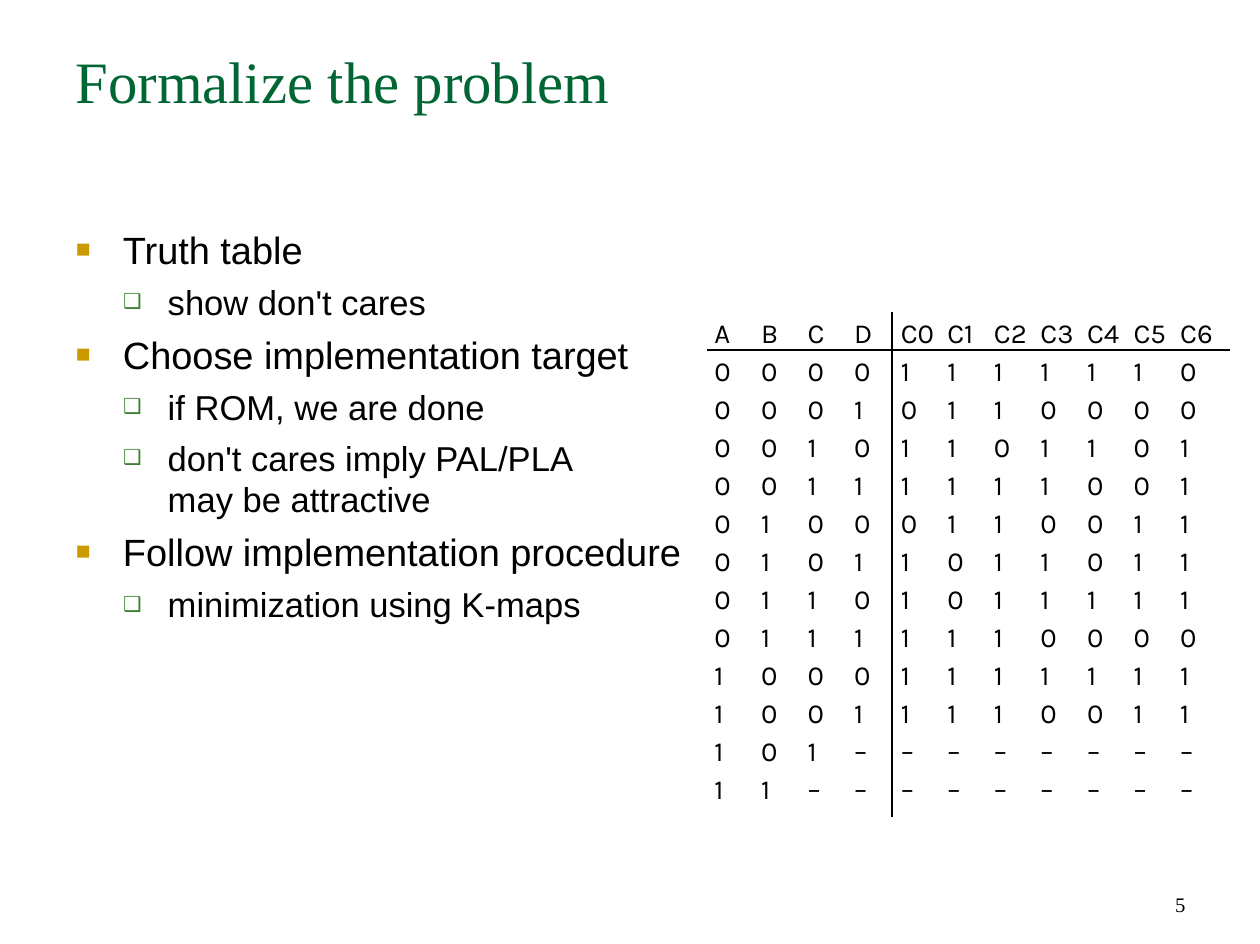
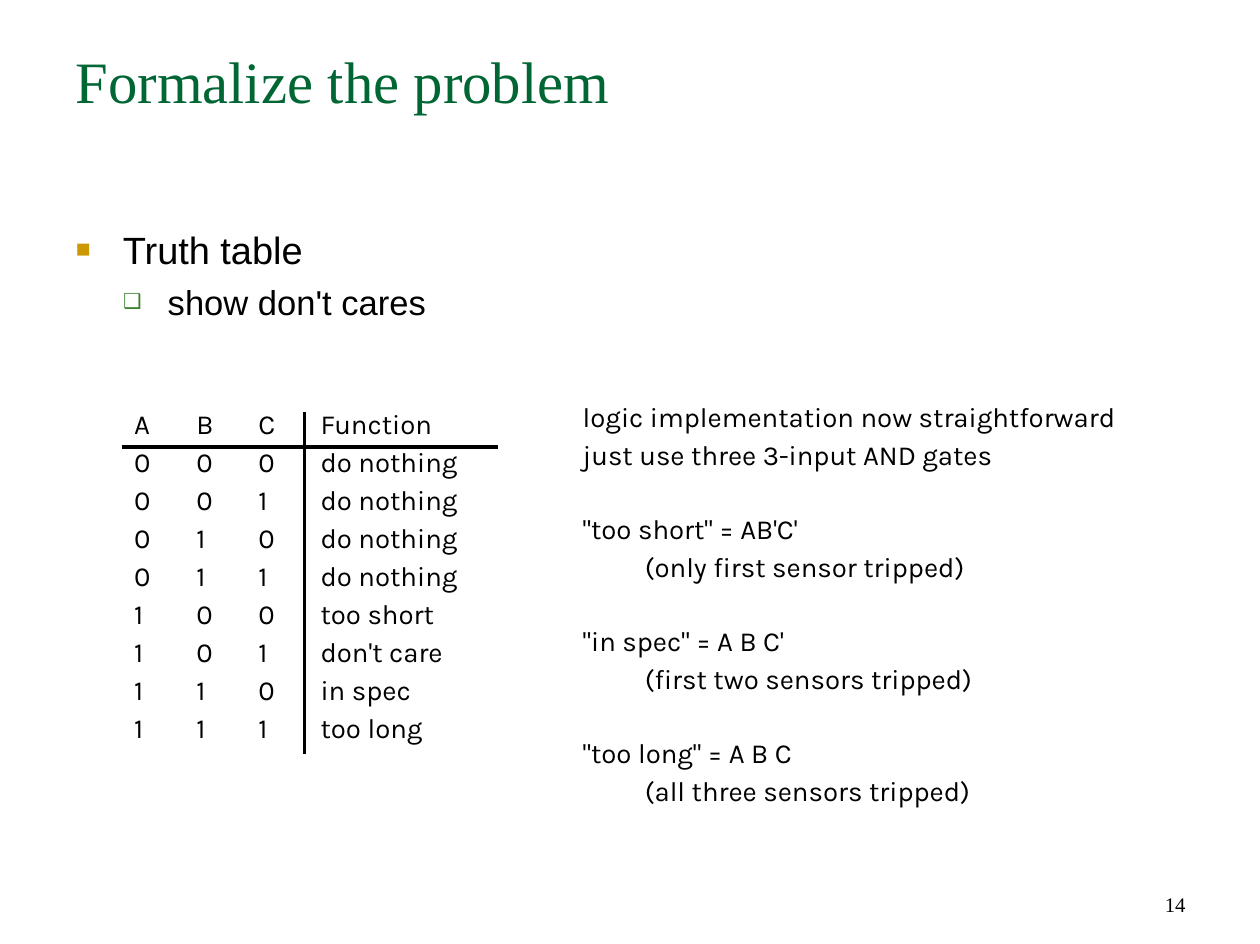
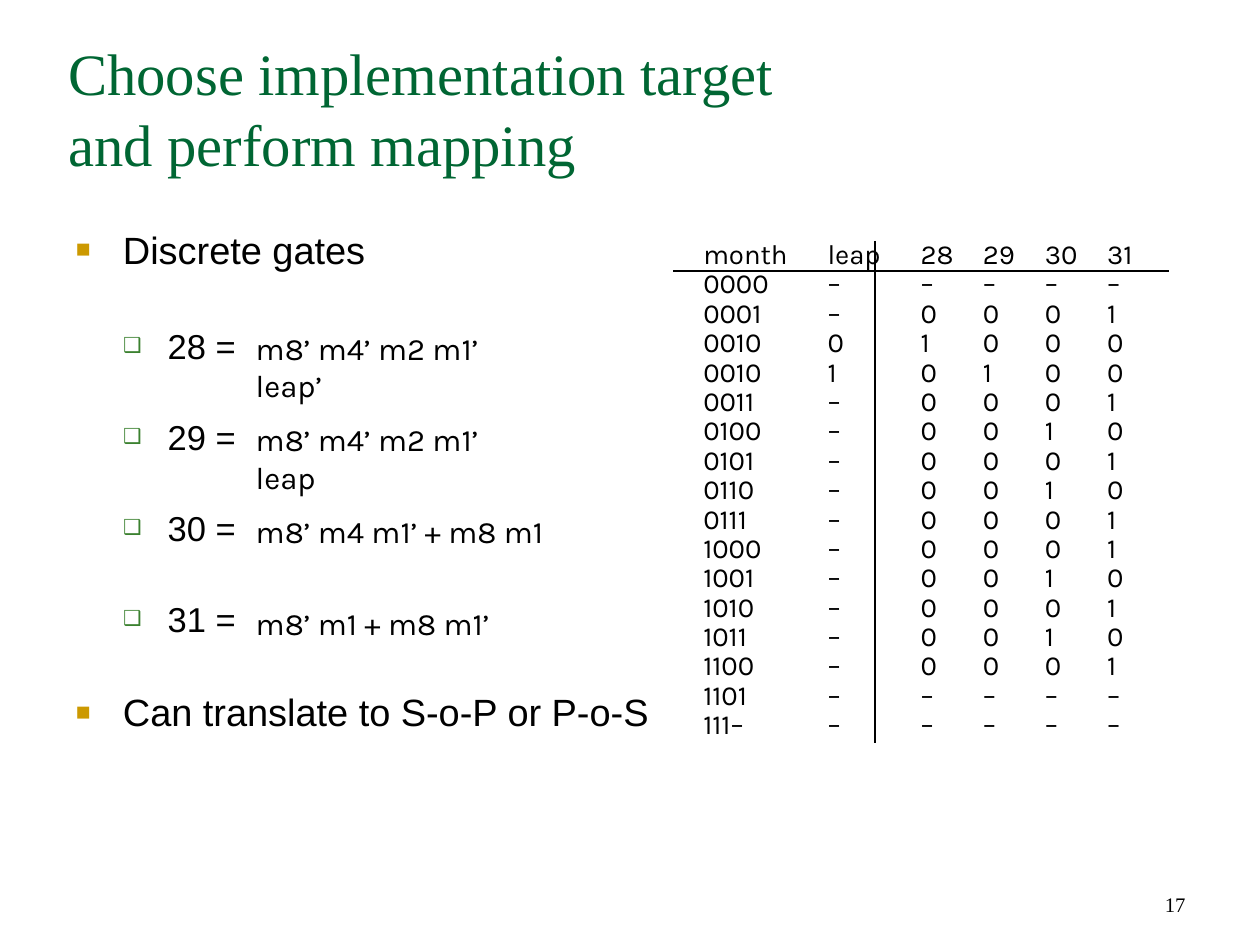
from dataclasses import dataclass

from lxml import etree
from pptx import Presentation
from pptx.dml.color import RGBColor as Rgb
from pptx.enum.shapes import MSO_CONNECTOR as Connector
from pptx.enum.text import MSO_ANCHOR as Anchor, MSO_AUTO_SIZE as AutoSize, PP_ALIGN as Align
from pptx.oxml.ns import qn
from pptx.util import Inches, Pt


@dataclass(frozen=True)
class Theme:
    ink: str = "000000"
    title_color: str = "006633"
    bullet_colors: tuple = ("CC9900", "3B812F")
    title_font: str = "Times New Roman"
    body_font: str = "Arial"
    data_font: str = "Karla"
    title_size: int = 34
    body_sizes: tuple = (22, 20)
    formula_size: int = 18
    data_size: int = 16
    number_size: int = 12


# Per list level: character, size in percent, left margin, hanging indent
BULLETS = (("■", 65, 0.38, 0.38), ("❑", 60, 0.74, 0.36))
BODY_GAP = 5.3      # points before each list item
BLANK_LINE = 1.17   # height of an open line, relative to the type size


class Deck:
    def __init__(self, theme):
        self.theme = theme
        self.prs = Presentation()
        self.prs.slide_width, self.prs.slide_height = Inches(10.14), Inches(7.6)
        self.slide = None

    # Shared helpers
    def style(self, paragraph, size, font, color=None):
        paragraph.font.size = Pt(size)
        paragraph.font.name = font
        paragraph.font.color.rgb = Rgb.from_string(color or self.theme.ink)

    def place(self, shape, left, top, width, height):
        shape.left, shape.top = Inches(left), Inches(top)
        shape.width, shape.height = Inches(width), Inches(height)
        frame = shape.text_frame
        frame.word_wrap = True
        frame.auto_size = AutoSize.NONE
        frame.vertical_anchor = Anchor.TOP
        return frame

    def text_box(self, left, top, width, height):
        box = self.slide.shapes.add_textbox(0, 0, 0, 0)
        return self.place(box, left, top, width, height)

    def bullet(self, paragraph, level):
        char, percent, margin, hanging = BULLETS[level]
        props = paragraph._p.get_or_add_pPr()
        props.set("marL", str(Inches(margin)))
        props.set("indent", str(Inches(-hanging)))
        color = etree.SubElement(props, qn("a:buClr"))
        etree.SubElement(color, qn("a:srgbClr"), val=self.theme.bullet_colors[level])
        etree.SubElement(props, qn("a:buSzPct"), val=str(percent * 1000))
        etree.SubElement(props, qn("a:buFont"), typeface=self.theme.body_font)
        etree.SubElement(props, qn("a:buChar"), char=char)

    # Slide with title and page number
    def new_slide(self, title, number, left=0.51, top=0.31):
        theme = self.theme
        self.slide = self.prs.slides.add_slide(self.prs.slide_layouts[1])
        heading = self.place(self.slide.shapes.title, left, top, 9.12, 1.26).paragraphs[0]
        heading.text = title
        heading.alignment = Align.LEFT
        self.style(heading, theme.title_size, theme.title_font, theme.title_color)

        footer = self.text_box(7.27, 6.92, 2.37, 0.51)
        footer.vertical_anchor = Anchor.BOTTOM
        page = footer.paragraphs[0]
        page.text = str(number)
        page.alignment = Align.RIGHT
        self.style(page, theme.number_size, theme.title_font)

    # Bulleted list of (level, text); open_lines leaves a line free after each item
    def body(self, items, open_lines=False):
        frame = self.place(self.slide.placeholders[1], 0.51, 1.77, 9.12, 5.02)
        for index, (level, text) in enumerate(items):
            item = frame.paragraphs[0] if index == 0 else frame.add_paragraph()
            item.text = text
            item.level = level
            size = self.theme.body_sizes[level]
            self.bullet(item, level)
            item.space_before = Pt(BODY_GAP if index else 0)
            if open_lines and index < len(items) - 1:
                item.space_after = Pt(size * BLANK_LINE)
            self.style(item, size, self.theme.body_font)

    def rule(self, x1, y1, x2, y2, weight):
        line = self.slide.shapes.add_connector(
            Connector.STRAIGHT, Inches(x1), Inches(y1), Inches(x2), Inches(y2))
        line.line.color.rgb = Rgb.from_string(self.theme.ink)
        line.line.width = Pt(weight)
        etree.SubElement(line._element.spPr, qn("a:effectLst"))

    # Truth table with one rule under the header and one before the outputs
    def truth_table(self, rows, left, top, widths, pitch, across, down, weight=1):
        height = Inches(pitch / 72)
        table = self.slide.shapes.add_table(
            len(rows), len(widths), Inches(left), Inches(top),
            Inches(sum(widths)), height * len(rows)).table
        table.first_row = table.horz_banding = False
        for column, width in zip(table.columns, widths):
            column.width = Inches(width)
        for r, row in enumerate(rows):
            table.rows[r].height = height
            for c, value in enumerate(row):
                cell = table.cell(r, c)
                cell.fill.background()
                cell.margin_left = cell.margin_right = 0
                cell.margin_top = cell.margin_bottom = 0
                entry = cell.text_frame.paragraphs[0]
                entry.text = value
                entry.line_spacing = Pt(pitch)
                self.style(entry, self.theme.data_size, self.theme.data_font)
        x1, x2, y = across
        self.rule(x1, y, x2, y, weight)
        x, y1, y2 = down
        self.rule(x, y1, x, y2, weight)

    # Notes as groups of (indent, text) lines, with a gap between groups
    def notes(self, groups, left, top, width, height):
        frame = self.text_box(left, top, width, height)
        frame.margin_left = frame.margin_right = Inches(0.02)
        frame.margin_top = frame.margin_bottom = Inches(0.03)
        for g, group in enumerate(groups):
            for n, (indent, text) in enumerate(group):
                note = frame.add_paragraph() if g or n else frame.paragraphs[0]
                note.text = text
                note._p.get_or_add_pPr().set("marL", str(Inches(indent)))
                note.line_spacing = Pt(22)
                note.space_before = Pt(21 if g and n == 0 else 0)
                self.style(note, self.theme.data_size, self.theme.data_font)

    def formula(self, text, left, top, width):
        expression = self.text_box(left, top, width, 0.4).paragraphs[0]
        expression.text = text
        self.style(expression, self.theme.formula_size, self.theme.data_font)


def display_decoder(deck):
    deck.new_slide("Formalize the problem", 5)
    deck.body([
        (0, "Truth table"),
        (1, "show don't cares"),
        (0, "Choose implementation target"),
        (1, "if ROM, we are done"),
        (1, "don't cares imply PAL/PLA\nmay be attractive"),
        (0, "Follow implementation procedure"),
        (1, "minimization using K-maps"),
    ])
    segments = ["A", "B", "C", "D"] + [f"C{n}" for n in range(7)]
    states = """00001111110 00010110000 00101101101 00111111001 01000110011
        01011011011 01101011111 01111110000 10001111111 10011110011
        101–––––––– 11–––––––––""".split()
    deck.truth_table([segments, *states], 5.75, 2.52, [1.5 / 4] * 11, 22,
                     across=(5.69, 9.9, 2.82), down=(7.18, 2.51, 6.58))


def rod_sorter(deck):
    deck.new_slide("Formalize the problem", 14)
    deck.body([(0, "Truth table"), (1, "show don't cares")])
    functions = ["do nothing"] * 4 + ["too short", "don't care", "in spec", "too long"]
    states = [[*f"{n:03b}", function] for n, function in enumerate(functions)]
    deck.truth_table([["A", "B", "C", "Function"], *states], 1.08, 3.25,
                     [0.5, 0.5, 0.5, 1.5], 22,
                     across=(0.98, 4.01, 3.6), down=(2.45, 3.32, 6.07), weight=2)
    deck.notes([
        [(0, "logic implementation now straightforward"),
         (0, "just use three 3-input AND gates")],
        [(0, "\"too short\" = AB'C'"), (0.5, "(only first sensor tripped)")],
        [(0, "\"in spec\" = A B C'"), (0.5, "(first two sensors tripped)")],
        [(0, "\"too long\" = A B C"), (0.5, "(all three sensors tripped)")],
    ], 4.67, 3.15, 4.97, 3.78)


def calendar_mapping(deck):
    deck.new_slide("Choose implementation target\nand perform mapping", 17, 0.45, 0.25)
    day_counts = [(1, f"{days} =") for days in range(28, 32)]
    deck.body([(0, "Discrete gates"), *day_counts,
               (0, "Can translate to S-o-P or P-o-S")], open_lines=True)

    # Month code, leap flag, then one output for each month length
    months = """0000 –––––
        0001 –0001
        0010 01000
        0010 10100
        0011 –0001
        0100 –0010
        0101 –0001
        0110 –0010
        0111 –0001
        1000 –0001
        1001 –0010
        1010 –0001
        1011 –0010
        1100 –0001
        1101 –––––
        111– –––––""".splitlines()
    states = [[code, *flags] for code, flags in map(str.split, months)]
    deck.truth_table([["month", "leap", "28", "29", "30", "31"], *states], 5.66, 1.95,
                     [1, 0.75, 0.5, 0.5, 0.5, 0.5], 17,
                     across=(5.42, 9.41, 2.18), down=(7.04, 1.94, 5.98))

    formulas = [("m8’ m4’ m2 m1’ leap’", 2.2), ("m8’ m4’ m2 m1’ leap", 2.2),
                ("m8’ m4 m1’ + m8 m1", 2.7), ("m8’ m1 + m8 m1’", 2.7)]
    for row, (text, width) in enumerate(formulas):
        deck.formula(text, 1.96, 2.6 + 0.74 * row, width)


def main():
    deck = Deck(Theme())
    display_decoder(deck)
    rod_sorter(deck)
    calendar_mapping(deck)
    deck.prs.save("out.pptx")


if __name__ == "__main__":
    main()
